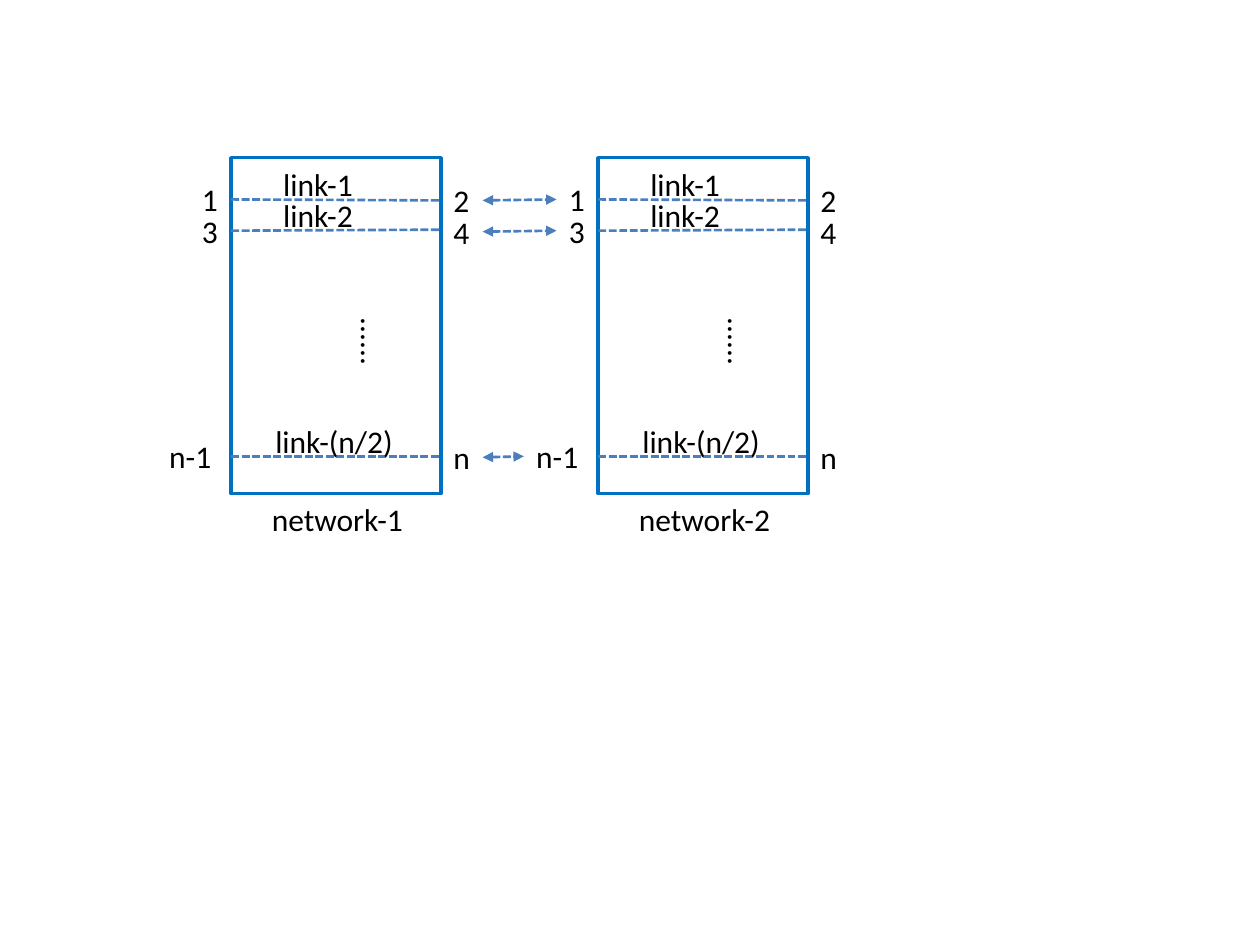
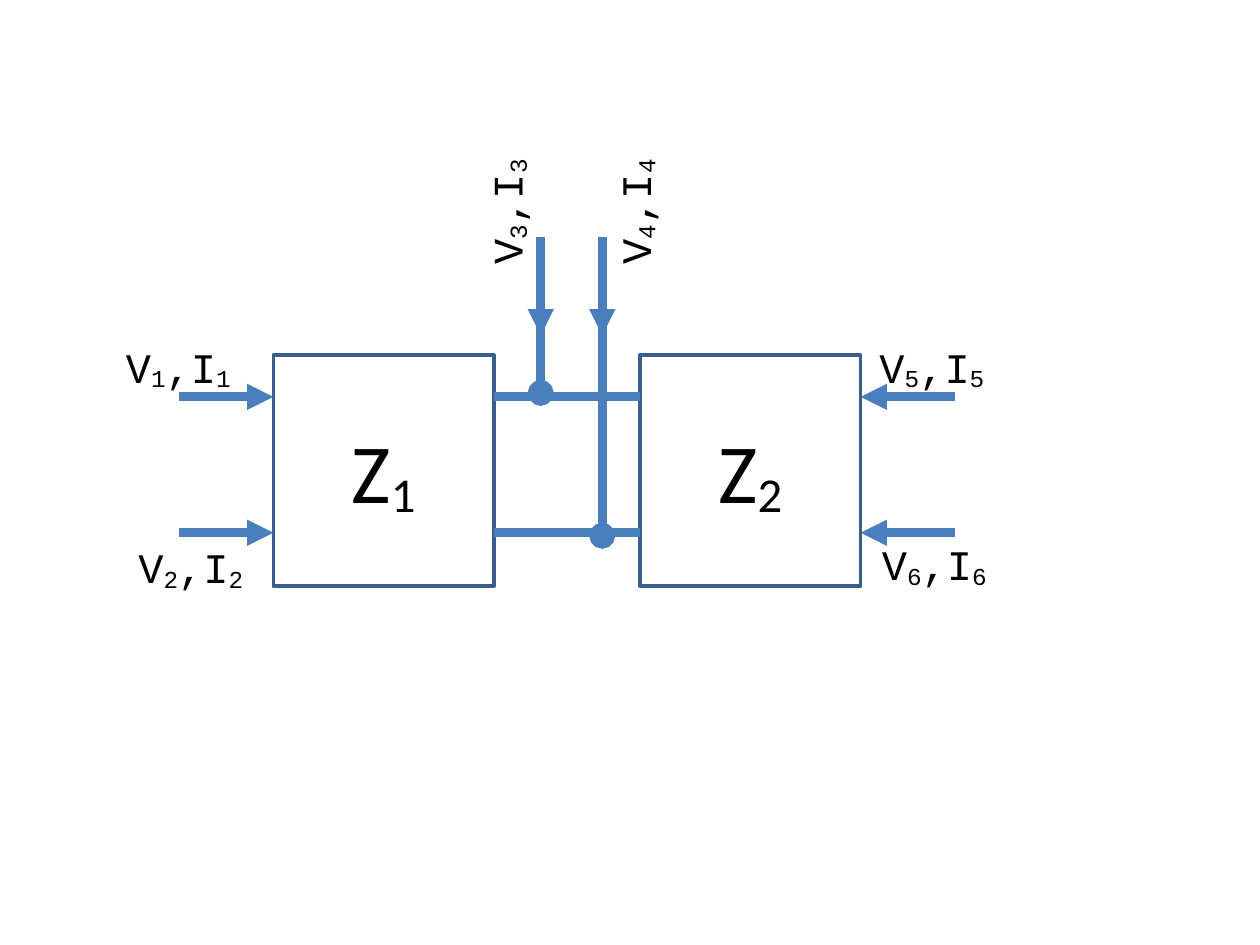
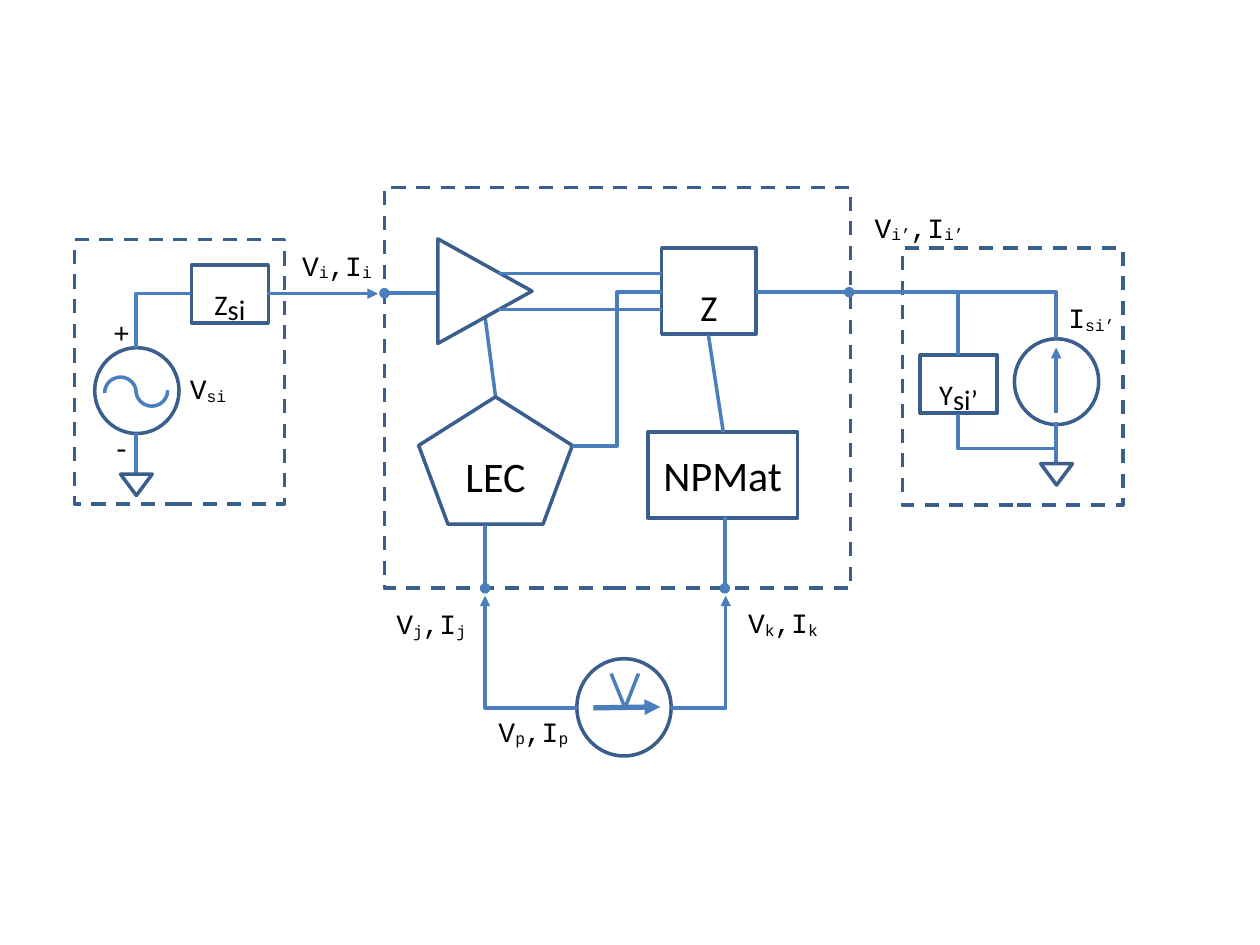
from dataclasses import dataclass

from lxml.etree import SubElement
from pptx import Presentation
from pptx.dml.color import RGBColor
from pptx.enum.dml import MSO_LINE as Dash
from pptx.enum.shapes import MSO_CONNECTOR as Link, MSO_SHAPE as Shape
from pptx.enum.text import MSO_ANCHOR as Anchor, MSO_AUTO_SIZE as AutoSize, PP_ALIGN as Align
from pptx.oxml.ns import qn
from pptx.util import Cm, Pt

COLORS = {"wire": "4B7EBC", "outline": "3A5F8C", "network": "0070C0", "text": "000000"}
SANS, MONO = "Calibri", "Courier New"


def color(name):
    return RGBColor.from_string(COLORS[name])


def write(frame, parts, size, font, bases=(0, -10)):
    para = frame.paragraphs[0]
    for index, part in enumerate(parts):
        span = para.add_run()
        span.text = part
        span.font.size = Pt(size)
        span.font.name = font
        span.font.color.rgb = color("text")
        base = bases[index % 2]
        if base:
            span.font._element.set("baseline", str(base * 1000))
    return para


@dataclass
class Region:
    shapes: object
    left: float = 0
    top: float = 0

    def at(self, x, y):
        return Cm(self.left + x), Cm(self.top + y)

    def shape(self, kind, x, y, width, height, line="outline", dash=None, flip=None):
        item = self.shapes.add_shape(kind, *self.at(x, y), Cm(width), Cm(height))
        item.shadow.inherit = False
        item.fill.background()
        item.line.color.rgb = color(line)
        item.line.width = Pt(2)
        if dash:
            item.line.dash_style = dash
        if flip:
            item._element.spPr.find(qn("a:xfrm")).set(flip, "1")
        return item

    def block(self, kind, x, y, width, height, parts, size, bases=(0, -10)):
        frame = self.shape(kind, x, y, width, height).text_frame
        frame.vertical_anchor = Anchor.MIDDLE
        write(frame, parts, size, SANS, bases).alignment = Align.CENTER

    def text(self, x, y, width, height, parts, size=16, font=MONO, wrap=True):
        box = self.shapes.add_textbox(*self.at(x, y), Cm(width), Cm(height))
        box.text_frame.word_wrap = wrap
        box.text_frame.auto_size = AutoSize.SHAPE_TO_FIT_TEXT
        write(box.text_frame, parts, size, font)
        return box

    def line(self, x1, y1, x2, y2, width=2, dash=None, head=None, tail=None, kind=Link.STRAIGHT):
        wire = self.shapes.add_connector(kind, *self.at(x1, y1), *self.at(x2, y2))
        wire.line.color.rgb = color("wire")
        wire.line.width = Pt(width)
        if dash:
            wire.line.dash_style = dash
        properties = wire._element.spPr
        for tag, end in (("a:headEnd", head), ("a:tailEnd", tail)):
            if end:
                SubElement(properties.find(qn("a:ln")), qn(tag)).set("type", end)
        SubElement(properties, qn("a:effectLst"))
        return wire

    def corner(self, x1, y1, x2, y2, tail=None):
        wire = self.line(x1, y1, x2, y2, tail=tail, kind=Link.ELBOW)
        wire._element.spPr.find(qn("a:prstGeom")).set("prst", "bentConnector2")


NET_LEFTS, NET_TOP, NET_WIDTH, NET_HEIGHT = (4.66, 12.06), 3.18, 4.23, 6.77
NET_ROWS = [
    ("1", "2", "link-1", 0.84, 0.02, 0.84, 0.8, 1.96),
    ("3", "4", "link-2", 1.47, -0.02, 0.84, 0.8, 1.96),
    ("n-1", "n", "link-(n/2)", 6.02, 0, 1.5, 0.64, 3.23),
]


def draw_network(page, left, top, name):
    region = Region(page.shapes, left, top)
    region.shape(Shape.RECTANGLE, 0, 0, NET_WIDTH, NET_HEIGHT, line="network")
    for start, end, link, y, slope, side, link_x, link_width in NET_ROWS:
        wrap = side > 1
        region.line(0, y, NET_WIDTH, y + slope, 1.5, Dash.SQUARE_DOT)
        region.text(-side, y - 0.51, side, 1.02, [start], 18, SANS, wrap)
        region.text(NET_WIDTH, y - 0.49, side, 1.02, [end], 18, SANS, wrap)
        region.text(link_x, y - 0.82, link_width, 1.02, [link], 18, SANS, wrap)
    dots = region.text(2.11, 2.97, 1.27, 2.21, ["......"], 18, SANS)
    dots.text_frame._txBody.bodyPr.set("vert", "eaVert")
    region.text(0.57, NET_HEIGHT + 0.01, 3.2, 1.02, [name], 18, SANS, False)


def draw_network_slide(page):
    for number, left in enumerate(NET_LEFTS, 1):
        draw_network(page, left, NET_TOP, f"network-{number}")
    gap = Region(page.shapes, NET_LEFTS[0] + NET_WIDTH, NET_TOP)
    gap_width = NET_LEFTS[1] - NET_LEFTS[0] - NET_WIDTH
    for _, _, _, y, _, side, _, _ in NET_ROWS:
        gap.line(0.84, y + 0.02, gap_width - side, y, 1.5, Dash.SQUARE_DOT,
                 head="triangle", tail="triangle")


def port_label(number):
    return ["V", number, ",I", number]


def draw_two_port(page, left, top, number, outer_left, labels):
    region = Region(page.shapes, left, top)
    width, reach = 4.45, 1.9
    region.block(Shape.RECTANGLE, 0, 0, width, 4.66, ["Z", number], 48)
    outer, inner, step = (0, width, reach) if outer_left else (width, 0, -reach)
    for y in (0.84, 3.58):
        region.line(outer - step, y, outer, y, 5, tail="triangle")
        region.line(inner, y, inner + step, y, 5)
    for port, x, y in labels:
        region.text(x, y, 3.1, 1.27, port_label(port), 24)


def draw_tap(page, left, top, depth, port, label_x):
    region = Region(page.shapes, left, top)
    region.line(0, 0, 0, 1.98, 5, tail="triangle")
    region.line(0, 1.57, 0, depth, 5, tail="oval")
    region.text(label_x, -1.35, 3.02, 1.27, port_label(port), 24).rotation = 270


def draw_cascade_slide(page):
    draw_two_port(page, 5.51, 7.16, "1", True, [("1", -3.22, -0.4), ("2", -2.97, 3.64)])
    draw_two_port(page, 12.9, 7.16, "2", False, [("5", 4.58, -0.4), ("6", 4.63, 3.58)])
    draw_tap(page, 10.9, 4.78, 3.14, "3", -2.21)
    draw_tap(page, 12.14, 4.78, 6.02, "4", -0.86)


def draw_ground(region, x, y):
    region.line(x, y, x, y + 0.86)
    region.shape(Shape.ISOSCELES_TRIANGLE, x - 0.31, y + 0.84, 0.64, 0.43, flip="flipV")


def draw_source(page, left, top):
    region = Region(page.shapes, left, top)
    region.block(Shape.RECTANGLE, 2.36, 0.51, 1.55, 1.17, ["Z", "si"], 28, (-10, -20))
    region.line(3.89, 1.09, 6.12, 1.09, tail="triangle")
    generator = Region(page.shapes.add_group_shape().shapes, left, top)
    generator.shape(Shape.OVAL, 0.41, 2.18, 1.7, 1.73)
    for x, y, flip in ((1.24, 2.72, None), (0.61, 2.77, "flipH")):
        wave = generator.shape(Shape.ARC, x, y, 0.64, 0.64, line="wire", flip=flip)
        wave.adjustments[0] = 162
        wave.adjustments[1] = 54.54
        wave.rotation = 90
    region.corner(2.36, 1.09, 1.24, 2.18)
    draw_ground(region, 1.24, 3.89)
    region.text(2.08, 2.54, 1.57, 0.94, ["V", "si"])
    region.text(0.53, 1.4, 0.94, 0.94, ["+"])
    region.text(0.53, 3.73, 0.94, 0.94, ["-"])
    region.text(4.34, 0.05, 2.16, 0.94, port_label("i"))
    region.shape(Shape.RECTANGLE, 0, 0, 4.24, 5.33, dash=Dash.DASH)


def draw_core(page, left, top):
    region = Region(page.shapes, left, top)
    region.shape(Shape.RECTANGLE, 0, 0, 9.4, 8.08, dash=Dash.DASH)
    region.line(2.03, 2.62, 2.24, 4.22)
    region.block(Shape.RECTANGLE, 5.59, 1.22, 1.9, 1.73, ["Z"], 36, (-10, 0))
    region.block(Shape.RECTANGLE, 5.31, 4.93, 3.02, 1.73, ["NPMat"], 24)
    region.block(Shape.REGULAR_PENTAGON, 0.69, 4.22, 3.1, 2.57, ["LEC"], 24)
    region.shape(Shape.ISOSCELES_TRIANGLE, 0.97, 1.14, 2.11, 1.9).rotation = 90
    for y in (1.73, 2.46):
        region.line(2.29, y, 5.59, y)
    region.line(5.59, 2.11, 3.78, 5.21, kind=Link.ELBOW)
    region.line(6.53, 2.97, 6.83, 4.93)
    region.line(1.04, 2.13, 0, 2.13, tail="oval")
    region.line(7.49, 2.11, 9.37, 2.11, tail="oval")
    region.line(2.03, 6.81, 2.03, 8.08, tail="oval")
    region.line(6.86, 6.65, 6.86, 8.08, tail="oval")


def draw_load(page, left, top):
    region = Region(page.shapes, left, top)
    region.block(Shape.RECTANGLE, 0.36, 2.16, 1.55, 1.17, ["Y", "si’"], 28, (-10, -20))
    region.shape(Shape.OVAL, 2.26, 1.83, 1.7, 1.73)
    draw_ground(region, 3.1, 3.51)
    region.text(3.1, 0.94, 1.57, 0.94, ["I", "si’"])
    region.shape(Shape.RECTANGLE, 0, 0, 4.45, 5.18, dash=Dash.DASH)
    region.line(3.1, 3.33, 3.1, 2.01, tail="triangle")
    region.corner(-1.07, 0.89, 3.1, 1.83)
    region.line(1.12, 0.89, 1.12, 2.16)
    region.corner(3.1, 4.04, 1.12, 3.35)
    region.text(-0.81, -0.89, 2.72, 0.94, port_label("i’"))


def draw_probe(page, left, top):
    region = Region(page.shapes, left, top)
    region.shape(Shape.OVAL, 0, 0, 1.9, 1.96)
    region.line(0.33, 0.99, 1.68, 0.97, 3, tail="triangle")
    region.corner(0, 0.99, -1.85, -1.27, tail="triangle")
    region.corner(1.9, 0.99, 3, -1.27, tail="triangle")
    for port, x, y in (("j", -3.89, -1.17), ("p", -1.83, 0.99), ("k", 3.2, -1.19)):
        region.text(x, y, 2.16, 0.94, port_label(port))
    for x in (0.69, 1.24):
        region.line(x, 0.3, 0.97, 0.99)


def draw_circuit_slide(page):
    draw_core(page, 7.75, 3.78)
    draw_source(page, 1.5, 4.83)
    draw_load(page, 18.19, 5)
    draw_probe(page, 11.63, 13.28)


deck = Presentation()
deck.slide_width, deck.slide_height = Cm(25.4), Cm(19.05)
for draw in (draw_network_slide, draw_cascade_slide, draw_circuit_slide):
    draw(deck.slides.add_slide(deck.slide_layouts[6]))
deck.save("out.pptx")
